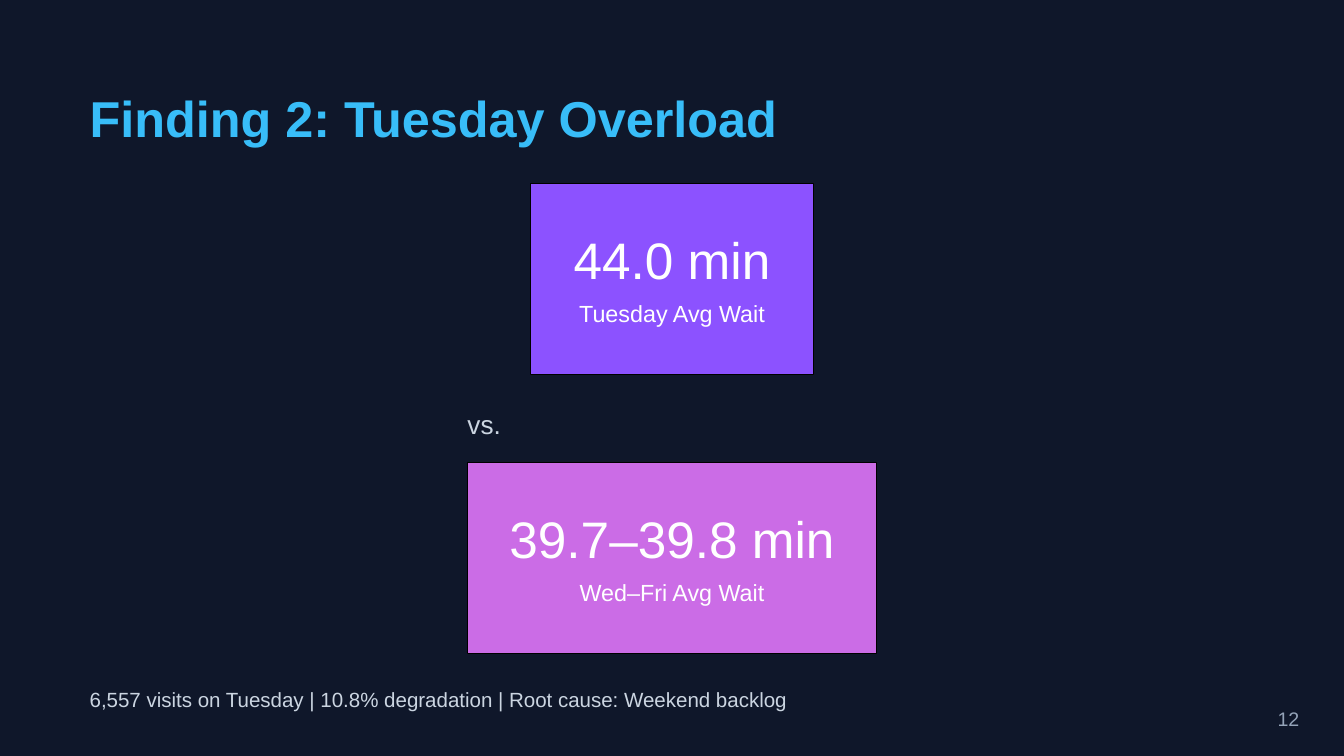
from pptx import Presentation
from pptx.dml.color import RGBColor
from pptx.enum.shapes import MSO_SHAPE as Shape
from pptx.enum.text import MSO_ANCHOR as Anchor, MSO_AUTO_SIZE as Fit, PP_ALIGN as Align
from pptx.util import Cm, Pt

NIGHT = RGBColor(0x0F, 0x17, 0x2A)
SKY = RGBColor(0x38, 0xBD, 0xF8)
VIOLET = RGBColor(0x8C, 0x52, 0xFF)
ORCHID = RGBColor(0xCB, 0x6C, 0xE6)
WHITE = RGBColor(0xFF, 0xFF, 0xFF)
BLACK = RGBColor(0, 0, 0)
MIST = RGBColor(0xCB, 0xD5, 0xE1)
SLATE = RGBColor(0x94, 0xA3, 0xB8)

WIDTH, HEIGHT = 50.8, 28.58
MARGIN = 3.39
CARD_H = 7.24


def write(slide, text, box, size, color, lead=1.4, align=Align.LEFT, bold=False, shape=None):
    """Put text in a new text box, or in the given shape; box is in cm."""
    box = [Cm(n) for n in box]
    if shape is None:
        shape = slide.shapes.add_textbox(*box)
    shape.left, shape.top, shape.width, shape.height = box
    frame = shape.text_frame
    frame.word_wrap = True
    frame.auto_size = Fit.NONE
    frame.vertical_anchor = Anchor.TOP
    frame.margin_left = frame.margin_right = frame.margin_top = frame.margin_bottom = 0
    para = frame.paragraphs[0]
    para.text = text
    para.alignment = align
    para.space_before = Pt(0)
    para.line_spacing = Pt(round(size * lead, 1))
    font = para.font
    font.name, font.size, font.bold = "Arial", Pt(size), bold
    font.color.rgb = color


def add_card(slide, top, width, fill, value, label):
    """Draw one centred figure card with its value above its label."""
    left = (WIDTH - width) / 2
    card = slide.shapes.add_shape(Shape.RECTANGLE, Cm(left), Cm(top), Cm(width), Cm(CARD_H))
    card.shadow.inherit = False
    card.fill.solid()
    card.fill.fore_color.rgb = fill
    card.line.color.rgb = BLACK
    card.line.width = Pt(1)
    pad = 1.5
    for text, drop, tall, size in ((value, 1.32, 2.69, 55), (label, 4.22, 1.19, 25)):
        box = (left + pad, top + drop, width - 2 * pad, tall)
        write(slide, text, box, size, WHITE, align=Align.CENTER)


def add_notes_row(slide, top):
    """Place the summary line and the page number."""
    write(slide, "6,557 visits on Tuesday | 10.8% degradation | Root cause: Weekend backlog",
          (MARGIN, top, 44.91, 1.09), 22, MIST)
    write(slide, "12", (48.29, top + 0.74, 1, 1.2), 21, SLATE)


def main():
    deck = Presentation()
    deck.slide_width, deck.slide_height = Cm(WIDTH), Cm(HEIGHT)
    slide = deck.slides.add_slide(deck.slide_layouts[5])
    slide.background.fill.solid()
    slide.background.fill.fore_color.rgb = NIGHT

    # Title
    write(slide, "Finding 2: Tuesday Overload", (MARGIN, 3.3, 44.91, 2.36), 54, SKY,
          lead=1.2, bold=True, shape=slide.shapes.title)

    # Compared waiting times
    add_card(slide, 6.93, 10.7, VIOLET, "44.0 min", "Tuesday Avg Wait")
    write(slide, "vs.", (17.67, 15.24, 15.77, 1.4), 28, MIST)
    add_card(slide, 17.48, 15.46, ORCHID, "39.7–39.8 min", "Wed–Fri Avg Wait")

    # Footer
    add_notes_row(slide, 25.83)
    deck.save("out.pptx")


if __name__ == "__main__":
    main()
